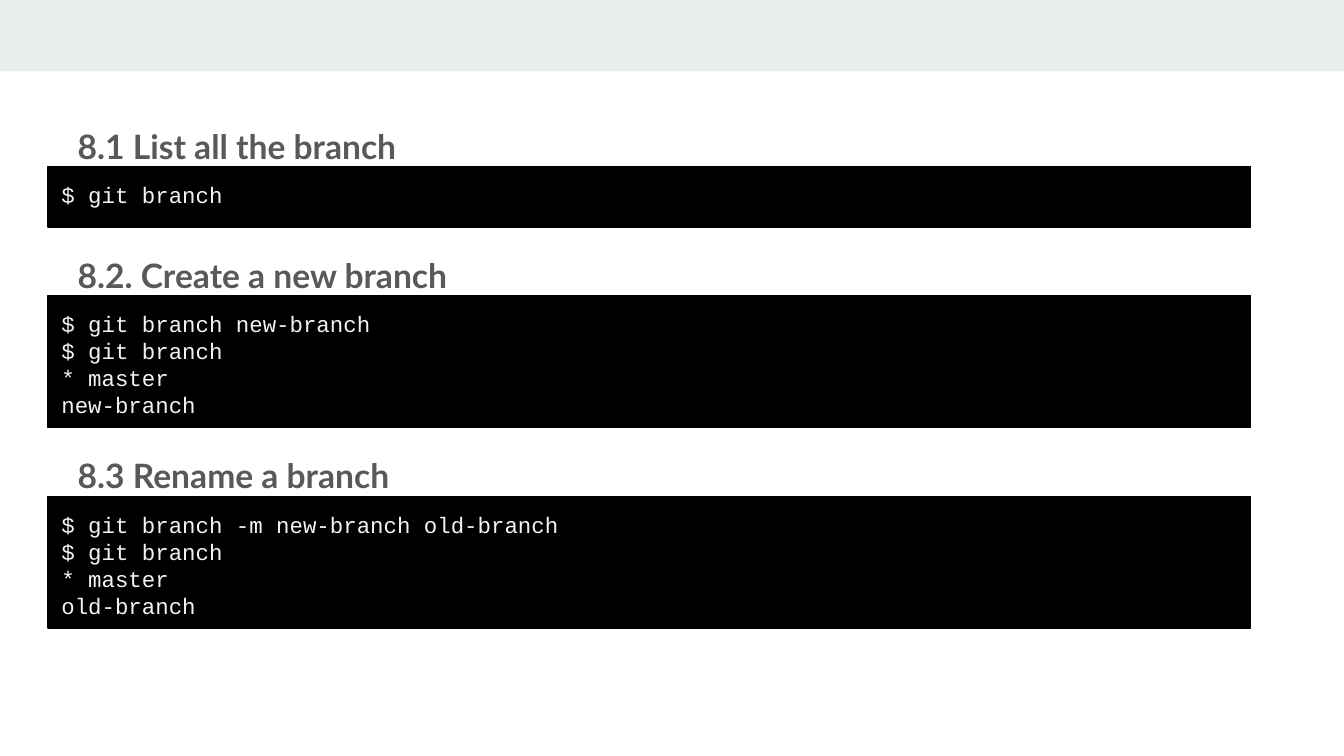
import pptx
import pptx.dml.color
import pptx.enum.shapes
import pptx.enum.text
import pptx.util
from pptx.util import Cm

BAND_GREY = pptx.dml.color.RGBColor(0xE9, 0xED, 0xEE)
HEADING_GREY = pptx.dml.color.RGBColor(0x59, 0x59, 0x59)
CODE_BLACK = pptx.dml.color.RGBColor(0x00, 0x00, 0x00)
CODE_TEXT = pptx.dml.color.RGBColor(0xF3, 0xF3, 0xF3)

SLIDE_WIDTH, SLIDE_HEIGHT = Cm(25.4), Cm(14.29)
HEADING_HEIGHT = Cm(1.14)
HEADING_INDENT = Cm(0.31)
CODE_BASE_HEIGHT = Cm(1.14)  # a code box with one line
CODE_LINE_HEIGHT = Cm(0.45)  # added for each further line
SECTION_GAP = Cm(0.16)

HEADING_FONT = {"name": "Lato", "size": pptx.util.Pt(18), "bold": True}
CODE_FONT = {"name": "Courier New", "size": pptx.util.Pt(12), "bold": False}

SECTIONS = [
    ("8.1 List all the branch", ["$ git branch"]),
    ("8.2. Create a new branch",
     ["$ git branch new-branch", "$ git branch", "* master", "new-branch"]),
    ("8.3 Rename a branch",
     ["$ git branch -m new-branch old-branch", "$ git branch", "* master",
      "old-branch"]),
]


def set_attributes(target, values):
    for name, value in values.items():
        setattr(target, name, value)


def write_lines(shape, lines, font, color, line_spacing, top_margin):
    frame = shape.text_frame
    set_attributes(frame, {
        "word_wrap": True,
        "vertical_anchor": pptx.enum.text.MSO_ANCHOR.TOP,
        "margin_left": Cm(0.25), "margin_right": Cm(0.25),
        "margin_top": top_margin, "margin_bottom": Cm(0.25),
    })
    frame.text = "\n".join(lines)
    for paragraph in frame.paragraphs:
        set_attributes(paragraph, {
            "alignment": pptx.enum.text.PP_ALIGN.LEFT,
            "line_spacing": line_spacing,
        })
        for run in paragraph.runs:
            set_attributes(run.font, font)
            run.font.color.rgb = color


def add_rectangle(slide, left, top, width, height, color):
    shape = slide.shapes.add_shape(
        pptx.enum.shapes.MSO_SHAPE.RECTANGLE, left, top, width, height)
    shape.shadow.inherit = False
    shape.fill.solid()
    shape.fill.fore_color.rgb = color
    return shape


def add_header_band(slide, left, top, width, height):
    band = add_rectangle(slide, left, top, width, height, BAND_GREY)
    band.line.fill.background()


def add_section(slide, left, top, width, heading, commands):
    """Place a heading over its code box and return the bottom edge."""
    # Code box
    code_top = top + HEADING_HEIGHT
    code_height = CODE_BASE_HEIGHT + (len(commands) - 1) * CODE_LINE_HEIGHT
    code_box = add_rectangle(
        slide, left, code_top, width, code_height, CODE_BLACK)
    code_box.line.color.rgb = CODE_BLACK
    code_box.line.width = pptx.util.Pt(0.75)
    write_lines(code_box, commands, CODE_FONT, CODE_TEXT,
                pptx.util.Pt(14.4), Cm(0.28))

    # Heading
    heading_box = slide.shapes.add_textbox(
        left + HEADING_INDENT, top, Cm(22.61), HEADING_HEIGHT)
    write_lines(heading_box, [heading], HEADING_FONT, HEADING_GREY,
                1.15, Cm(0.25))
    return code_top + code_height


def main():
    presentation = pptx.Presentation()
    set_attributes(presentation, {
        "slide_width": SLIDE_WIDTH, "slide_height": SLIDE_HEIGHT})
    slide = presentation.slides.add_slide(presentation.slide_layouts[6])

    add_header_band(slide, 0, 0, SLIDE_WIDTH, Cm(1.35))
    top = Cm(2.01)
    for heading, commands in SECTIONS:
        bottom = add_section(
            slide, Cm(0.91), top, Cm(22.73), heading, commands)
        top = bottom + SECTION_GAP

    presentation.save("out.pptx")


if __name__ == "__main__":
    main()
